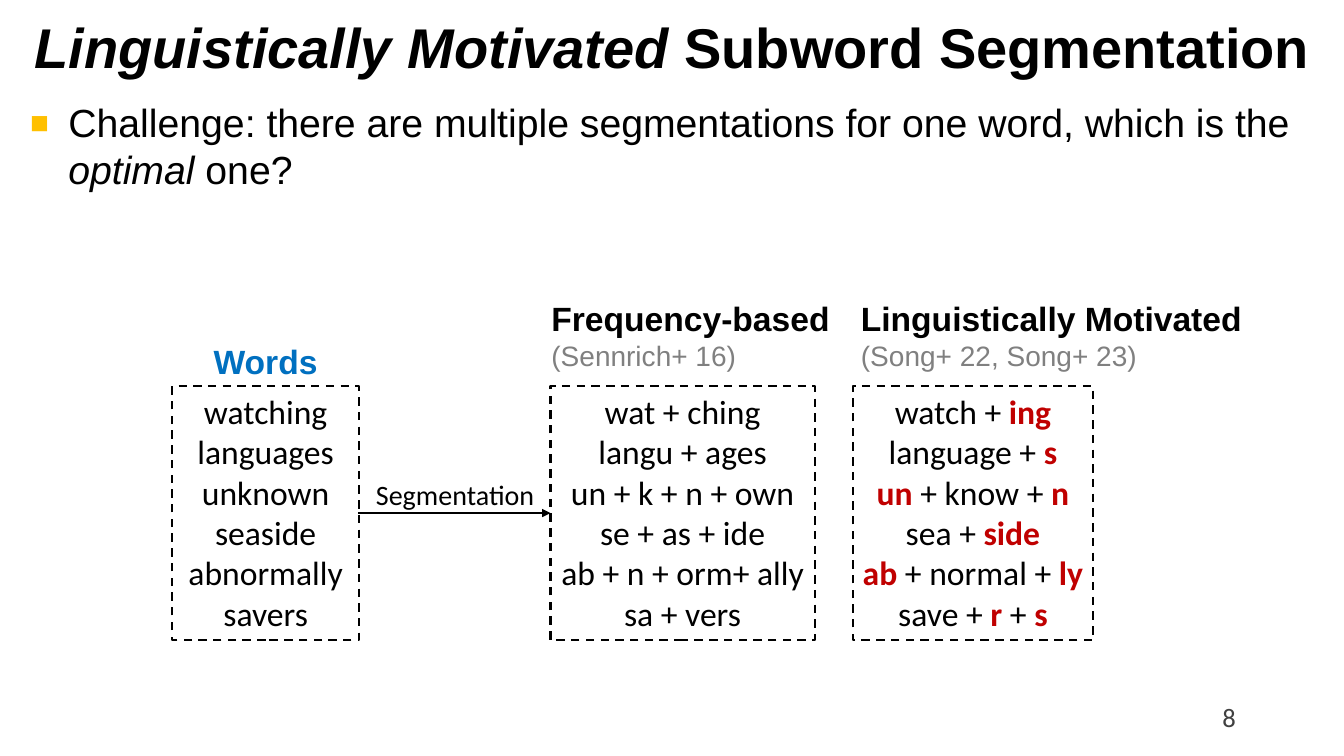
from lxml import etree
from pptx import Presentation
from pptx.dml.color import RGBColor
from pptx.enum.dml import MSO_LINE
from pptx.enum.shapes import MSO_CONNECTOR, MSO_SHAPE
from pptx.enum.text import MSO_ANCHOR, PP_ALIGN
from pptx.oxml.ns import qn
from pptx.util import Pt

PX = 9144
LEFT, CENTER = PP_ALIGN.LEFT, PP_ALIGN.CENTER
MIDDLE = MSO_ANCHOR.MIDDLE
DASH = MSO_LINE.DASH
RECT = MSO_SHAPE.RECTANGLE
STRAIGHT = MSO_CONNECTOR.STRAIGHT

BLACK = RGBColor(0x00, 0x00, 0x00)
DARK = RGBColor(0x40, 0x40, 0x40)
GRAY = RGBColor(0x80, 0x80, 0x80)
BLUE = RGBColor(0x00, 0x70, 0xC0)
RED = RGBColor(0xC0, 0x00, 0x00)
GOLD = RGBColor(0xFF, 0xC0, 0x00)

TOP, HIGH = 383, 252
WORDS = ["watching", "languages", "unknown", "seaside", "abnormally", "savers"]
FREQ = ["wat + ching", "langu + ages", "un + k + n + own", "se + as + ide",
        "ab + n + orm+ ally", "sa + vers"]
LING = ["watch + *ing*", "language + *s*", "*un* + know + *n*", "sea + *side*",
        "*ab* + normal + *ly*", "save + *r* + *s*"]


def px(*nums):
    return [num * PX for num in nums]


def style(font, size, name, color, bold=False):
    font.size, font.name, font.bold = Pt(size), name, bold
    font.color.rgb = color


def add_runs(par, text, size, name, color=BLACK, bold=False):
    marked = []
    for spot, part in enumerate(text.split("*")):
        if part:
            run = par.add_run()
            run.text = part
            style(run.font, size, name, color, bold)
            if spot % 2:
                marked.append(run.font)
    return marked


def add_text(slide, box, lines, align=LEFT, wrap=False):
    frame = slide.shapes.add_textbox(*px(*box)).text_frame
    frame.word_wrap = wrap
    marked = []
    for spot, line in enumerate(lines):
        par = frame.add_paragraph() if spot else frame.paragraphs[0]
        par.alignment = align
        marked += add_runs(par, *line)
    return frame, marked


def add_title(slide, box):
    title = slide.shapes.title
    title.left, title.top, title.width, title.height = px(*box)
    frame = title.text_frame
    frame.word_wrap = True
    frame.vertical_anchor = MIDDLE
    par = frame.paragraphs[0]
    par.alignment = CENTER
    text = "*Linguistically Motivated *Subword Segmentation"
    for font in add_runs(par, text, 40, "Arial", BLACK, True):
        font.italic = True


def add_body(slide, box):
    text = ("Challenge: there are multiple segmentations for one word, "
            "which is the *optimal* one?")
    frame, marked = add_text(slide, box, [(text, 28, "Arial")], wrap=True)
    for font in marked:
        font.italic = True
    props = frame.paragraphs[0]._p.get_or_add_pPr()
    props.set("marL", str(38 * PX))
    props.set("indent", str(-38 * PX))
    color = etree.SubElement(props, qn("a:buClr"))
    etree.SubElement(color, qn("a:srgbClr"), val=str(GOLD))
    etree.SubElement(props, qn("a:buSzPct"), val="80000")
    etree.SubElement(props, qn("a:buFont"), typeface="Arial")
    etree.SubElement(props, qn("a:buChar"), char="■")


def add_panel(slide, box, inset, words):
    left, top, width, height = box
    lines = [(word, 24, "Calibri") for word in words]
    area = (left + inset, top, width - 2 * inset, height)
    for font in add_text(slide, area, lines, CENTER)[1]:
        font.bold = True
        font.color.rgb = RED
    frame = slide.shapes.add_shape(RECT, *px(*box))
    frame.shadow.inherit = False
    frame.fill.background()
    frame.line.color.rgb = BLACK
    frame.line.width = Pt(1.5)
    frame.line.dash_style = DASH


def add_head(slide, box, name, cite):
    add_text(slide, box, [(name, 24, "Arial", BLACK, True),
                          (cite, 20, "Arial", GRAY)])


def add_arrow(slide, box):
    left, top, width, height = box
    mid = top + height // 2
    arrow = slide.shapes.add_connector(
        STRAIGHT, *px(left, mid, left + width, mid))
    arrow.line.color.rgb = BLACK
    arrow.line.width = Pt(1.5)
    props = arrow._element.spPr
    etree.SubElement(props.get_or_add_ln(), qn("a:tailEnd"), type="triangle")
    etree.SubElement(props, qn("a:effectLst"))
    add_text(slide, (left + 8, mid - 40, 182, 44),
             [("Segmentation", 20, "Calibri")])


def add_chart_row(slide, top, high):
    add_text(slide, (202, top - 50, 124, 50),
             [("Words", 24, "Arial", BLUE, True)])
    add_panel(slide, (171, top, 185, high), -10, WORDS)
    add_panel(slide, (546, top, 262, high), -56, FREQ)
    add_panel(slide, (846, top, 238, high), -10, LING)
    add_head(slide, (537, top - 92, 299, 84), "Frequency-based",
             "(Sennrich+ 16)")
    add_head(slide, (844, top - 92, 401, 84), "Linguistically Motivated",
             "(Song+ 22, Song+ 23)")
    add_arrow(slide, (355, top, 191, high))


def main():
    deck = Presentation()
    deck.slide_width, deck.slide_height = px(1333, 750)
    slide = deck.slides.add_slide(deck.slide_layouts[5])
    add_title(slide, (0, 0, 1333, 92))
    add_body(slide, (20, 93, 1293, 408))
    add_text(slide, (1171, 690, 96, 31), [("8", 19, "Calibri", DARK)], CENTER)
    add_chart_row(slide, TOP, HIGH)
    deck.save("out.pptx")


if __name__ == "__main__":
    main()
